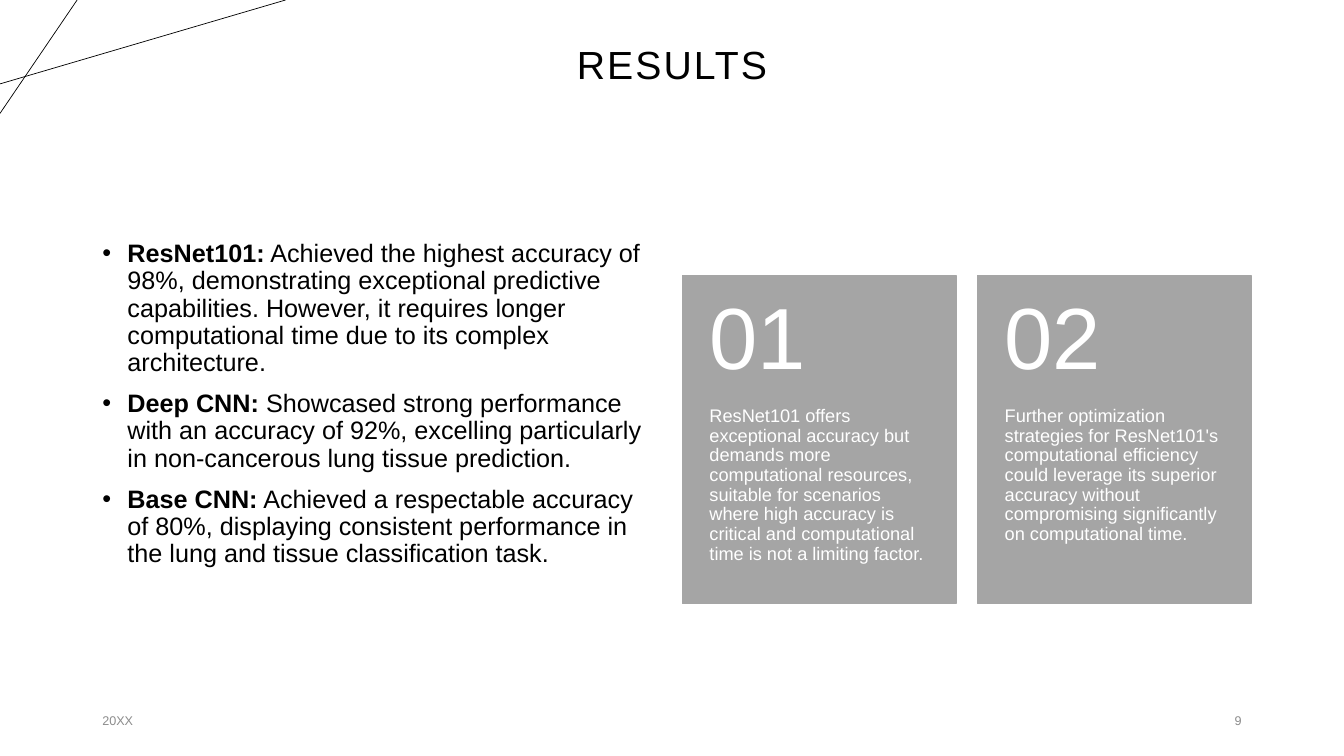
from lxml.etree import SubElement
from pptx import Presentation
from pptx.dml.color import RGBColor
from pptx.enum.shapes import MSO_CONNECTOR, MSO_SHAPE
from pptx.enum.text import MSO_ANCHOR, MSO_AUTO_SIZE, PP_ALIGN
from pptx.oxml.ns import qn
from pptx.util import Pt

BLACK = RGBColor(0x00, 0x00, 0x00)
WHITE = RGBColor(0xFF, 0xFF, 0xFF)
CARD_GREY = RGBColor(0xA5, 0xA5, 0xA5)
FOOTER_GREY = RGBColor(0x8C, 0x8C, 0x8C)

SLIDE_W, SLIDE_H = 960, 540
MARGIN = 66
CONTENT_W = SLIDE_W - 2 * MARGIN

FINDINGS = [
    ("ResNet101:", " Achieved the highest accuracy of 98%, demonstrating exceptional "
     "predictive capabilities. However, it requires longer computational time due to "
     "its complex architecture."),
    ("Deep CNN:", " Showcased strong performance with an accuracy of 92%, excelling "
     "particularly in non-cancerous lung tissue prediction."),
    ("Base CNN:", " Achieved a respectable accuracy of 80%, displaying consistent "
     "performance in the lung and tissue classification task."),
]
CONCLUSIONS = [
    "ResNet101 offers exceptional accuracy but demands more computational resources, "
    "suitable for scenarios where high accuracy is critical and computational time is "
    "not a limiting factor.",
    "Further optimization strategies for ResNet101's computational efficiency could "
    "leverage its superior accuracy without compromising significantly on "
    "computational time.",
]


def add_text(p, text, size=18, color=BLACK, bold=False, align=None,
             line_spacing=0.9, tracking=None):
    """Append a formatted run to paragraph p and set the paragraph's layout."""
    r = p.add_run()
    r.text = text
    r.font.name = "Arial"
    r.font.size = Pt(size)
    r.font.bold = bold
    r.font.color.rgb = color
    if tracking:
        r.font._element.set("spc", str(round(tracking * 100)))
    p.alignment = align
    p.line_spacing = line_spacing


def add_box(slide, x, y, w, h, insets=(7.2, 3.6, 7.2, 3.6), anchor=MSO_ANCHOR.TOP):
    """Add an empty wrapping text box and return its text frame."""
    tf = slide.shapes.add_textbox(Pt(x), Pt(y), Pt(w), Pt(h)).text_frame
    tf.word_wrap = True
    tf.vertical_anchor = anchor
    tf.margin_left, tf.margin_top, tf.margin_right, tf.margin_bottom = map(Pt, insets)
    return tf


def set_bullet(p, indent):
    pPr = p._p.get_or_add_pPr()
    pPr.set("marL", str(Pt(indent)))
    pPr.set("indent", str(-Pt(indent)))
    SubElement(pPr, qn("a:buFont"), typeface="Arial")
    SubElement(pPr, qn("a:buChar"), char="•")


def add_corner_lines(slide, w, h):
    """Cross two thin lines over the top left corner; w and h bound them."""
    for x1, y1, x2, y2 in [(0, 0.74 * h, w, 0), (0.27 * w, 0, 0, h)]:
        line = slide.shapes.add_connector(
            MSO_CONNECTOR.STRAIGHT, Pt(x1), Pt(y1), Pt(x2), Pt(y2))
        line.line.color.rgb = BLACK
        line.line.width = Pt(0.5)
        SubElement(line._element.spPr, qn("a:effectLst"))


def set_title(slide, text, x, y, w, h):
    title = slide.shapes.title
    title.left, title.top, title.width, title.height = map(Pt, (x, y, w, h))
    tf = title.text_frame
    tf.word_wrap = True
    tf.auto_size = MSO_AUTO_SIZE.NONE
    tf.vertical_anchor = MSO_ANCHOR.TOP
    add_text(tf.paragraphs[0], text, size=28, align=PP_ALIGN.CENTER, tracking=1.5)


def add_findings(slide, findings, x, y, w, h):
    tf = add_box(slide, x, y, w, h)
    for i, (model, finding) in enumerate(findings):
        p = tf.add_paragraph() if i else tf.paragraphs[0]
        add_text(p, model, bold=True)
        add_text(p, finding)
        p.space_before = Pt(10)
        set_bullet(p, 18)


def add_card(slide, number, text, x, y, w, h):
    sp = slide.shapes.add_shape(MSO_SHAPE.RECTANGLE, Pt(x), Pt(y), Pt(w), Pt(h))
    sp.shadow.inherit = False
    sp.fill.solid()
    sp.fill.fore_color.rgb = CARD_GREY
    sp.line.color.rgb = CARD_GREY
    sp.line.width = Pt(1)
    number_h = 0.4 * h
    tf = add_box(slide, x, y + number_h, w, h - number_h, (19.3, 0, 19.3, 26))
    add_text(tf.paragraphs[0], text, size=13, color=WHITE)
    tf = add_box(slide, x, y, w, number_h, (19.3, 13, 19.3, 13), MSO_ANCHOR.MIDDLE)
    add_text(tf.paragraphs[0], f"{number:02d}", size=62, color=WHITE)


def add_cards(slide, texts, x, y, w, h, gap):
    card_w = (w - gap * (len(texts) - 1)) / len(texts)
    for i, text in enumerate(texts):
        add_card(slide, i + 1, text, x + i * (card_w + gap), y, card_w, h)


def add_footer(slide, date, number, x, y, w, h):
    field_w = 216
    for text, left, align in [(date, x, PP_ALIGN.LEFT),
                              (number, x + w - field_w, PP_ALIGN.RIGHT)]:
        tf = add_box(slide, left, y, field_w, h, anchor=MSO_ANCHOR.MIDDLE)
        p = tf.paragraphs[0]
        add_text(p, text, size=9, color=FOOTER_GREY, align=align, line_spacing=1.0)
        p.space_after = Pt(6)


def build_results_slide(prs):
    slide = prs.slides.add_slide(prs.slide_layouts[5])
    add_corner_lines(slide, 204, 81)
    set_title(slide, "RESULTS", MARGIN, 28.8, CONTENT_W, 104.4)
    add_footer(slide, "20XX", "9", MARGIN, 500.5, CONTENT_W, 28.8)
    add_findings(slide, FINDINGS, MARGIN, 168.5, 407, 291)
    add_cards(slide, CONCLUSIONS, 487.5, 196.8, 406.2, 234.4, gap=15.6)


def main():
    prs = Presentation()
    prs.slide_width, prs.slide_height = Pt(SLIDE_W), Pt(SLIDE_H)
    build_results_slide(prs)
    prs.save("out.pptx")


if __name__ == "__main__":
    main()
